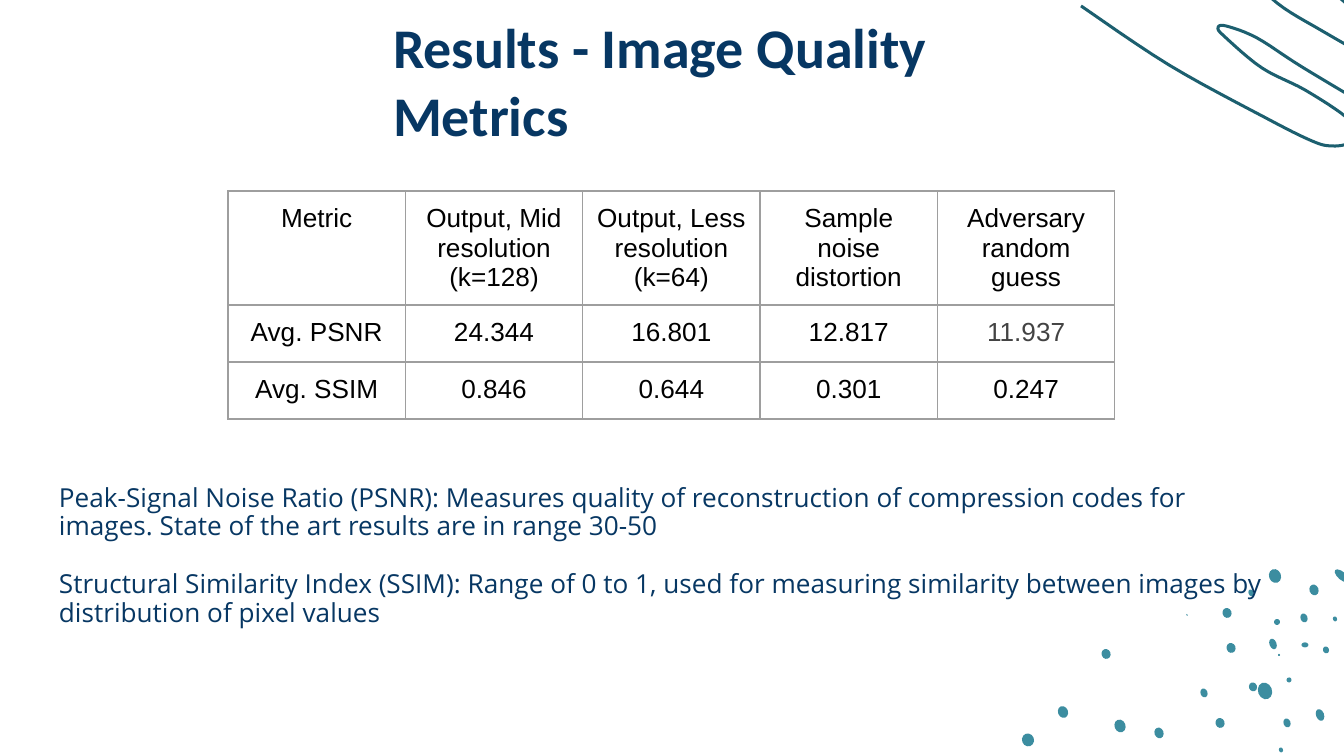
from typing import NamedTuple

from lxml.etree import SubElement
from pptx import Presentation
from pptx.dml.color import RGBColor
from pptx.enum.shapes import MSO_SHAPE
from pptx.enum.text import MSO_ANCHOR, MSO_AUTO_SIZE, PP_ALIGN
from pptx.oxml.ns import qn
from pptx.util import Emu, Pt

SCALE = 914400 / 134.4  # EMU in one px
INSET = 13
HUES = {"navy": "073763", "pen": "1C5F6F", "dot": "3C8DA0",
        "rule": "9E9E9E", "ink": "000000", "gray": "434343"}


class Box(NamedTuple):
    x: int
    y: int
    w: int
    h: int


class Dot(NamedTuple):
    x: int  # centre
    y: int
    w: int
    h: int
    turn: float = 69.5


class Style(NamedTuple):
    font: str
    size: int
    hue: str
    bold: bool = False


HEAD = Style("Calibri", 30, "navy", True)
NOTE = Style("Open Sans", 14, "navy")
CELL = Style("Arial", 14, "ink")
PALE = CELL._replace(hue="gray")

TITLE = "Results - Image Quality Metrics"
NOTES = [
    "Peak-Signal Noise Ratio (PSNR): Measures quality of reconstruction of "
    "compression codes for images. State of the art results are in range 30-50",
    "Structural Similarity Index (SSIM): Range of 0 to 1, used for measuring "
    "similarity between images by distribution of pixel values",
]
ROWS = [
    ["Metric", "Output, Mid resolution (k=128)", "Output, Less resolution (k=64)",
     "Sample noise distortion", "Adversary random guess"],
    ["Avg. PSNR", "24.344", "16.801", "12.817", "11.937"],
    ["Avg. SSIM", "0.846", "0.644", "0.301", "0.247"],
]
# Points that the scribble passes through
CURVE = [
    (1081, 6), (1169, 65), (1264, 117), (1312, 141), (1332, 146), (1349, 143),
    (1354, 132), (1346, 117), (1305, 90), (1262, 68), (1225, 37), (1218, 28),
    (1226, 26), (1257, 38), (1302, 67), (1374, 110), (1392, 121), (1423, 119),
    (1427, 103), (1417, 84), (1396, 73), (1324, 32), (1277, 3), (1243, -32),
    (1238, -43), (1257, -45), (1316, -20), (1351, 7), (1398, 38), (1447, 65),
    (1469, 69), (1475, 60), (1463, 41), (1443, 22), (1395, -3), (1298, -65),
    (1284, -81), (1288, -94), (1310, -94), (1335, -84), (1419, -26), (1481, 17),
    (1501, 24), (1511, 19), (1517, -1), (1501, -22), (1349, -115),
]
DOTS = [
    Dot(1342, 576, 18, 8, 40), Dot(1265, 691, 17, 14), Dot(1289, 680, 5, 5),
    Dot(1279, 655, 2, 2), Dot(1305, 645, 7, 5, 0), Dot(1335, 619, 5, 4),
    Dot(1314, 590, 11, 9), Dot(1304, 618, 9, 7), Dot(1326, 650, 7, 6),
    Dot(1277, 622, 6, 6), Dot(1273, 644, 11, 7), Dot(1231, 648, 10, 9),
    Dot(1253, 687, 9, 8), Dot(1204, 693, 9, 7), Dot(1220, 723, 10, 9),
    Dot(1159, 733, 11, 9), Dot(1106, 654, 10, 9), Dot(1063, 712, 12, 10),
    Dot(1187, 615, 2, 1), Dot(1227, 613, 10, 9), Dot(1251, 593, 7, 5),
    Dot(1275, 576, 14, 12), Dot(1320, 715, 12, 8), Dot(1287, 723, 9, 7),
    Dot(1281, 750, 5, 4), Dot(1120, 726, 13, 11), Dot(1028, 740, 13, 12),
]


def px(n: float) -> Emu:
    return Emu(round(n * SCALE))


def hue(name: str) -> RGBColor:
    return RGBColor.from_string(HUES[name])


def add_run(para, text: str, style: Style) -> None:
    run = para.add_run()
    run.text = text
    run.font.name = style.font
    run.font.size = Pt(style.size)
    run.font.bold = style.bold
    run.font.color.rgb = hue(style.hue)


def smooth(pts: list, steps: int = 6) -> list:
    """Catmull-Rom curve through the points."""
    ends = [pts[0], *pts, pts[-1]]
    out = [pts[0]]
    for quad in zip(ends, ends[1:], ends[2:], ends[3:]):
        for step in range(1, steps + 1):
            t = step / steps
            out.append(tuple(
                (2 * b + (c - a) * t + (2 * a - 5 * b + 4 * c - d) * t ** 2
                 + (3 * b - a - 3 * c + d) * t ** 3) / 2
                for a, b, c, d in zip(*quad)))
    return out


def draw_curve(slide, pts: list) -> None:
    line = [(px(x), px(y)) for x, y in smooth(pts)]
    pen = slide.shapes.build_freeform(*line[0])
    pen.add_line_segments(line[1:], close=False)
    shape = pen.convert_to_shape()
    shape.shadow.inherit = False
    shape.fill.background()
    shape.line.color.rgb = hue("pen")
    shape.line.width = px(3)


def draw_dot(slide, dot: Dot) -> None:
    shape = slide.shapes.add_shape(
        MSO_SHAPE.OVAL, px(dot.x - dot.w / 2), px(dot.y - dot.h / 2),
        px(dot.w), px(dot.h))
    shape.rotation = dot.turn
    shape.shadow.inherit = False
    shape.fill.solid()
    shape.fill.fore_color.rgb = hue("dot")
    shape.line.fill.background()


def fill_text(holder, box: Box, texts: list, style: Style, space: float) -> None:
    holder.left, holder.top, holder.width, holder.height = map(px, box)
    frame = holder.text_frame
    frame.word_wrap = True
    frame.auto_size = MSO_AUTO_SIZE.NONE
    frame.vertical_anchor = MSO_ANCHOR.TOP
    frame.margin_left = frame.margin_right = px(INSET)
    frame.margin_top = frame.margin_bottom = px(INSET)
    for i, text in enumerate(texts):
        para = frame.add_paragraph() if i else frame.paragraphs[0]
        props = para._p.get_or_add_pPr()
        props.set("marL", "0")
        props.set("indent", "0")
        SubElement(props, qn("a:buNone"))
        para.alignment = PP_ALIGN.LEFT
        para.line_spacing = space
        para.space_before = para.space_after = Pt(16 if i else 0)
        add_run(para, text, style)


def rule_cell(cell) -> None:
    props = cell._tc.get_or_add_tcPr()
    for i, side in enumerate(("lnL", "lnR", "lnT", "lnB")):
        line = props.makeelement(qn(f"a:{side}"), {"w": str(Pt(0.75))})
        fill = SubElement(line, qn("a:solidFill"))
        SubElement(fill, qn("a:srgbClr"), val=HUES["rule"])
        props.insert(i, line)


def draw_table(slide, box: Box, rows: list) -> None:
    table = slide.shapes.add_table(len(rows), len(rows[0]), *map(px, box)).table
    table.first_row = table.horz_banding = False
    for r, row in enumerate(rows):
        for c, text in enumerate(row):
            cell = table.cell(r, c)
            cell.fill.background()
            cell.margin_left = cell.margin_right = px(INSET)
            cell.margin_top = cell.margin_bottom = px(INSET)
            rule_cell(cell)
            para = cell.text_frame.paragraphs[0]
            para.alignment = PP_ALIGN.CENTER
            add_run(para, text, PALE if (r, c) == (1, 4) else CELL)


def main() -> None:
    deck = Presentation()
    deck.slide_width, deck.slide_height = px(1344), px(756)
    slide = deck.slides.add_slide(deck.slide_layouts[1])
    # Decoration
    draw_curve(slide, CURVE)
    for dot in DOTS:
        draw_dot(slide, dot)
    # Title, metrics and notes, in front of the decoration
    title, body = slide.shapes.title, slide.placeholders[1]
    fill_text(title, Box(380, 0, 582, 253), [TITLE], HEAD, 1.0)
    draw_table(slide, Box(228, 191, 887, 171), ROWS)
    fill_text(body, Box(46, 472, 1253, 200), NOTES, NOTE, 0.9)
    for holder in (title, body):
        slide.shapes._spTree.append(holder._element)
    deck.save("out.pptx")


if __name__ == "__main__":
    main()
